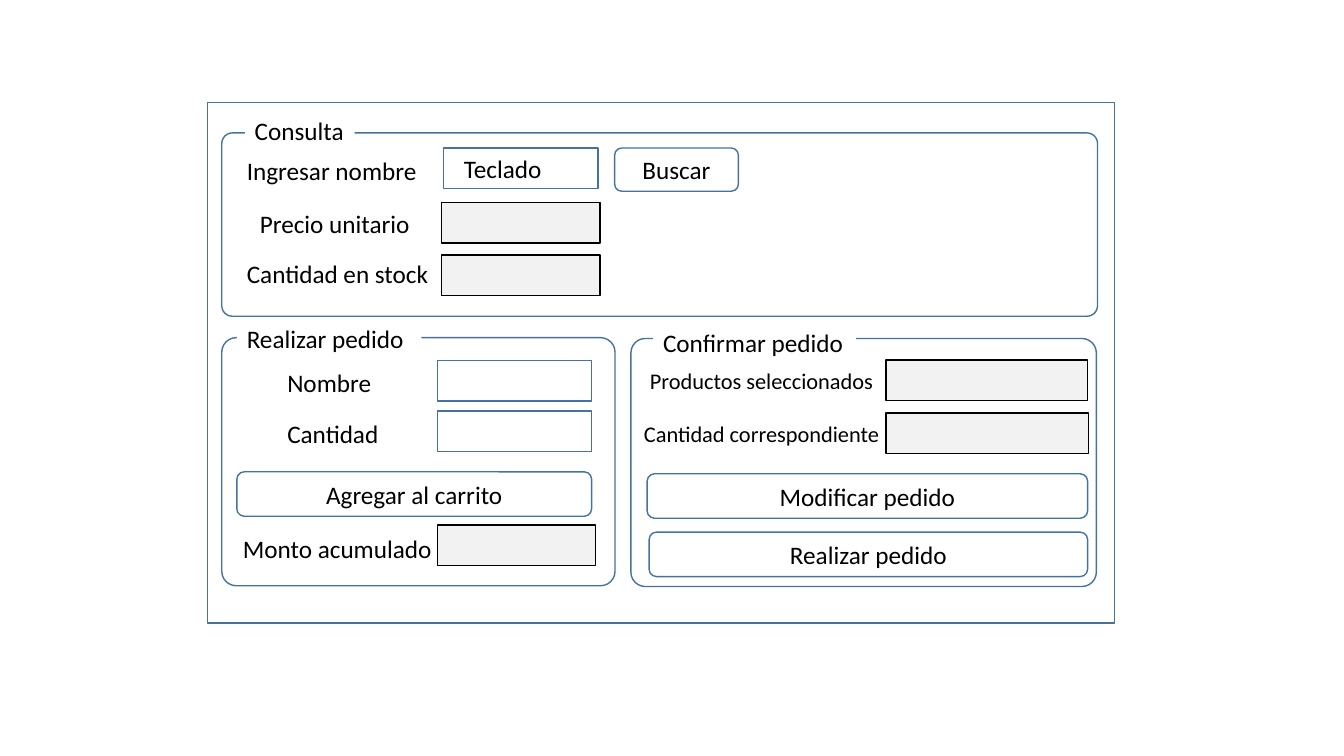
import pptx
import pptx.util
import pptx.dml.color
import pptx.enum.shapes
import pptx.enum.text

Cm = pptx.util.Cm
Pt = pptx.util.Pt
RGBColor = pptx.dml.color.RGBColor
Shape = pptx.enum.shapes.MSO_SHAPE
Align = pptx.enum.text.PP_ALIGN
Anchor = pptx.enum.text.MSO_ANCHOR
AutoSize = pptx.enum.text.MSO_AUTO_SIZE

BLUE = RGBColor(0x43, 0x73, 0x9E)
BLACK = RGBColor(0, 0, 0)
GREY = RGBColor(0xF2, 0xF2, 0xF2)
WHITE = RGBColor(0xFF, 0xFF, 0xFF)

ROW_HEIGHT = 1.02
PANEL_ROUNDING = 0.058


def apply_format(target, values):
    for name, value in values.items():
        setattr(target, name, value)


def paint(box, color):
    box.fill.solid()
    box.fill.fore_color.rgb = color


def write(box, text, size=18, align=Align.LEFT, **frame_format):
    frame = box.text_frame
    apply_format(frame, {"word_wrap": False, **frame_format})
    para = frame.paragraphs[0]
    para.alignment = align
    span = para.add_run()
    span.text = text
    apply_format(span.font, {"name": "Calibri", "size": Pt(size)})
    span.font.color.rgb = BLACK


def add_box(page, kind, left, top, width, height, fill=None, line=BLUE):
    box = page.shapes.add_shape(kind, Cm(left), Cm(top), Cm(width), Cm(height))
    box.shadow.inherit = False
    if fill is None:
        box.fill.background()
    else:
        paint(box, fill)
    box.line.color.rgb = line
    box.line.width = Pt(1)
    return box


def add_label(page, text, left, top, width, size=18):
    height = ROW_HEIGHT if size == 18 else 0.94
    box = page.shapes.add_textbox(Cm(left), Cm(top), Cm(width), Cm(height))
    write(box, text, size, auto_size=AutoSize.SHAPE_TO_FIT_TEXT)
    return box


def add_panel(page, left, top, width, height, title, title_left, title_top, title_width):
    panel = add_box(page, Shape.ROUNDED_RECTANGLE, left, top, width, height)
    panel.adjustments[0] = PANEL_ROUNDING
    paint(add_label(page, title, title_left, title_top, title_width), WHITE)


def add_input(page, left, top, text=None):
    box = add_box(page, Shape.RECTANGLE, left, top, 3.89, ROW_HEIGHT)
    if text:
        write(box, text, margin_left=Cm(0.51), word_wrap=True,
              vertical_anchor=Anchor.MIDDLE)


def add_output(page, left, top, width=3.99):
    add_box(page, Shape.RECTANGLE, left, top, width, ROW_HEIGHT, GREY, BLACK)


def add_button(page, text, left, top, width, height=1.12):
    box = add_box(page, Shape.ROUNDED_RECTANGLE, left, top, width, height)
    write(box, text, align=Align.CENTER, vertical_anchor=Anchor.MIDDLE,
          word_wrap=True, margin_top=0, margin_bottom=0)


def add_query(page):
    add_panel(page, 5.59, 3.35, 22.07, 4.62, "Consulta", 6.17, 2.79, 2.77)
    add_label(page, "Ingresar nombre", 5.97, 3.78, 5)
    add_input(page, 11.18, 3.73, "Teclado")
    add_button(page, "Buscar", 15.49, 3.73, 3.12, 1.09)
    add_label(page, "Precio unitario", 6.3, 5.13, 4.32)
    add_output(page, 11.13, 5.11)
    add_label(page, "Cantidad en stock", 5.97, 6.38, 5.1)
    add_output(page, 11.13, 6.43)


def add_order(page):
    add_panel(page, 5.59, 8.51, 9.91, 6.25, "Realizar pedido", 5.97, 8.03, 4.65)
    add_label(page, "Nombre", 6.99, 9.12, 2.64)
    add_input(page, 11.02, 9.09)
    add_label(page, "Cantidad", 6.99, 10.41, 2.84)
    add_input(page, 11.02, 10.36)
    add_button(page, "Agregar al carrito", 5.97, 11.89, 8.94)
    add_label(page, "Monto acumulado", 5.87, 13.31, 5.33)
    add_output(page, 11.02, 13.23)


def add_confirmation(page):
    add_panel(page, 15.9, 8.53, 11.73, 6.25, "Confirmar pedido", 16.46, 8.13, 5.11)
    add_label(page, "Productos seleccionados", 16.13, 9.12, 6.2, 16)
    add_output(page, 22.33, 9.07, 5.08)
    add_label(page, "Cantidad correspondiente", 15.98, 10.46, 6.5, 16)
    add_output(page, 22.33, 10.41, 5.11)
    add_button(page, "Modificar pedido", 16.31, 11.94, 11.1)
    add_button(page, "Realizar pedido", 16.36, 13.41, 11.05)


def main():
    deck = pptx.Presentation()
    apply_format(deck, {"slide_width": Cm(33.87), "slide_height": Cm(19.05)})
    page = deck.slides.add_slide(deck.slide_layouts[6])
    add_box(page, Shape.RECTANGLE, 5.23, 2.59, 22.86, 13.11)
    add_query(page)
    add_order(page)
    add_confirmation(page)
    deck.save("out.pptx")


if __name__ == "__main__":
    main()
